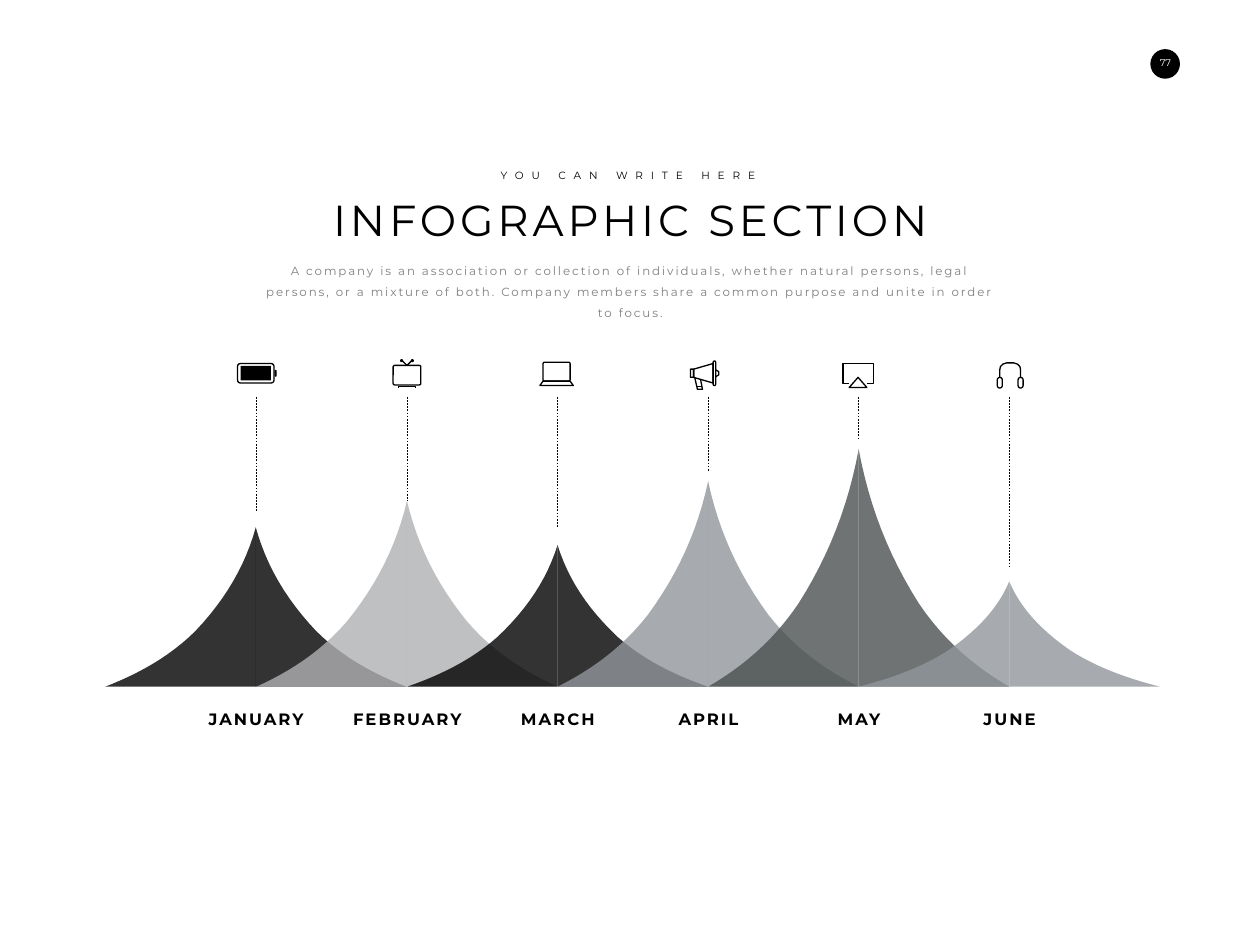
"""Build an infographic slide with six monthly peaks, icons and labels."""
from dataclasses import dataclass

from lxml import etree
from pptx import Presentation
from pptx import util as u
from pptx.dml import color as dml
from pptx.enum import dml as lines
from pptx.enum import shapes, text
from pptx.oxml import ns

EMU_PER_PX = 9144
FONT = "Montserrat"
COLOURS = {
    "black": "000000", "white": "FFFFFF", "muted": "7F7F7F",
    "silver": "B0B1B3", "steel": "91969B", "slate": "4B5050",
}
CENTRES = (406, 646, 885, 1124, 1363, 1602)
HALF_WIDTH, BASELINE = 239, 1090
LINE_TOP, LABEL_TOP, LABEL_WIDTH, LABEL_HEIGHT = 630, 1110, 239, 61
RECTANGLE = shapes.MSO_SHAPE.RECTANGLE
ROUNDED = shapes.MSO_SHAPE.ROUNDED_RECTANGLE
OVAL = shapes.MSO_SHAPE.OVAL
SLOPE = (
    ((0, 0), (0.07, 0.24), (0.2, 0.45), (0.4, 0.65)),
    ((0.4, 0.65), (0.57, 0.81), (0.78, 0.92), (1, 1)),
)
CURVE_STEPS = 12


@dataclass(frozen=True)
class Box:
    preset: shapes.MSO_SHAPE
    left: int
    top: int
    width: int
    height: int
    filled: bool = False
    rounding: float = 0.08


@dataclass(frozen=True)
class Stroke:
    points: tuple
    closed: bool = False


@dataclass(frozen=True)
class Month:
    name: str
    tip: int
    line_end: int
    colour: str
    icon: tuple


@dataclass(frozen=True)
class Caption:
    words: str
    left: int
    top: int
    width: int
    height: int
    size: float
    colour: str = "black"
    spacing: float = 0
    bold: bool = False
    wrap: bool = True
    line_spacing: float = 1
    insets: tuple = (10, 5)
    anchor: text.MSO_ANCHOR = text.MSO_ANCHOR.TOP


BATTERY = (Box(ROUNDED, 377, 577, 58, 31, rounding=0.15), Box(RECTANGLE, 382, 581, 48, 23, True),
           Box(ROUNDED, 436, 587, 3, 11, True, 0.4))
TELEVISION = (Box(ROUNDED, 624, 580, 44, 31), Box(OVAL, 635, 570, 5, 5, True),
              Box(OVAL, 652, 570, 5, 5, True), Stroke(((638, 572), (646, 580), (654, 572))),
              Stroke(((632, 616), (632, 613), (660, 613), (660, 616))))
LAPTOP = (Box(ROUNDED, 862, 575, 43, 30),
          Stroke(((862, 605), (857, 612), (910, 612), (905, 605)), True))
MEGAPHONE = (Box(ROUNDED, 1096, 586, 5, 13), Box(ROUNDED, 1132, 573, 4, 39, rounding=0.5),
             Stroke(((1101, 586), (1132, 577), (1132, 608), (1101, 599)), True),
             Stroke(((1136, 587), (1141, 590), (1141, 595), (1136, 598))),
             Stroke(((1103, 600), (1107, 618), (1115, 618), (1112, 602))),
             Stroke(((1106, 614), (1114, 614))))
SCREEN = (Stroke(((1348, 609), (1338, 609), (1338, 577), (1386, 577), (1386, 609), (1376, 609))),
          Stroke(((1348, 615), (1362, 599), (1376, 615)), True))
HEADPHONES = (Box(ROUNDED, 1583, 599, 8, 17, rounding=0.5),
              Box(ROUNDED, 1616, 599, 8, 17, rounding=0.5),
              Stroke(((1587, 599), (1587, 587), (1588, 582), (1592, 578), (1598, 576),
                      (1609, 576), (1615, 578), (1619, 582), (1620, 587), (1620, 599))))

MONTHS = (
    Month("JANUARY", 837, 811, "black", BATTERY),
    Month("FEBRUARY", 795, 795, "silver", TELEVISION),
    Month("MARCH", 865, 838, "black", LAPTOP),
    Month("APRIL", 764, 747, "steel", MEGAPHONE),
    Month("MAY", 713, 697, "slate", SCREEN),
    Month("JUNE", 923, 901, "steel", HEADPHONES),
)
CAPTIONS = (
    Caption("77", 1821, 83, 58, 34, 11, "white", wrap=False, insets=(15, 8)),
    Caption("INFOGRAPHIC SECTION", 451, 301, 1100, 93, 49.5, spacing=4.5),
    Caption("YOU CAN WRITE HERE", 740, 264, 514, 30, 12, spacing=9),
    Caption("A company is an association or collection of individuals, whether natural persons, "
            "legal persons, or a mixture of both. Company members share a common purpose and "
            "unite in order to focus.", 399, 402, 1203, 78, 13.5, "muted", 2.25, line_spacing=1.5),
)


def px(length: float) -> int:
    return round(length * EMU_PER_PX)


def rgb(name: str) -> dml.RGBColor:
    return dml.RGBColor.from_string(COLOURS[name])


def add_caption(slide, caption: Caption) -> None:
    box = slide.shapes.add_textbox(
        px(caption.left), px(caption.top), px(caption.width), px(caption.height))
    frame = box.text_frame
    frame.word_wrap = caption.wrap
    frame.vertical_anchor = caption.anchor
    frame.margin_left = frame.margin_right = px(caption.insets[0])
    frame.margin_top = frame.margin_bottom = px(caption.insets[1])
    paragraph = frame.paragraphs[0]
    paragraph.text = caption.words
    paragraph.alignment = text.PP_ALIGN.CENTER
    paragraph.line_spacing = caption.line_spacing
    font = paragraph.font
    font.name, font.size, font.bold = FONT, u.Pt(caption.size), caption.bold
    font.color.rgb = rgb(caption.colour)
    properties = paragraph._p.pPr.find(ns.qn("a:defRPr"))
    properties.set("spc", str(round(caption.spacing * 100)))


def paint(shape, filled: bool, colour: str = "black") -> None:
    shape.shadow.inherit = False
    if filled:
        shape.fill.solid()
        shape.fill.fore_color.rgb = rgb(colour)
        shape.line.fill.background()
    else:
        shape.fill.background()
        shape.line.color.rgb = rgb(colour)
        shape.line.width = u.Pt(1.5)


def add_outline(group, points: list, closed: bool):
    corners = [(px(x), px(y)) for x, y in points]
    builder = group.shapes.build_freeform(*corners[0])
    builder.add_line_segments(corners[1:], close=closed)
    return builder.convert_to_shape()


def add_icon(slide, parts: tuple) -> None:
    group = slide.shapes.add_group_shape()
    for part in parts:
        if isinstance(part, Stroke):
            paint(add_outline(group, part.points, part.closed), False)
            continue
        shape = group.shapes.add_shape(
            part.preset, px(part.left), px(part.top), px(part.width), px(part.height))
        if part.preset == ROUNDED:
            shape.adjustments[0] = part.rounding
        paint(shape, part.filled)


def slope_points() -> list:
    points = [(0, 0)]
    for curve in SLOPE:
        for step in range(1, CURVE_STEPS + 1):
            t = step / CURVE_STEPS
            weights = ((1 - t) ** 3, 3 * t * (1 - t) ** 2, 3 * t * t * (1 - t), t ** 3)
            points.append(tuple(sum(w * p[axis] for w, p in zip(weights, curve))
                                for axis in (0, 1)))
    return points


def add_peak(slide, month: Month, centre: int) -> None:
    group = slide.shapes.add_group_shape()
    height = BASELINE - month.tip
    for side in (-1, 1):
        points = [(centre + side * x * HALF_WIDTH, month.tip + y * height)
                  for x, y in slope_points()]
        half = add_outline(group, points + [(centre, BASELINE)], True)
        paint(half, True, month.colour)
        colour = half.fill._xPr.find(".//" + ns.qn("a:srgbClr"))
        etree.SubElement(colour, ns.qn("a:alpha"), val="80000")


def add_dashed_line(slide, month: Month, centre: int) -> None:
    connector = slide.shapes.add_connector(
        shapes.MSO_CONNECTOR.STRAIGHT, px(centre), px(LINE_TOP), px(centre), px(month.line_end))
    connector.line.color.rgb = rgb("black")
    connector.line.width = u.Pt(0.5)
    connector.line.dash_style = lines.MSO_LINE.DASH
    etree.SubElement(connector._element.spPr, ns.qn("a:effectLst"))


def main() -> None:
    presentation = Presentation()
    presentation.slide_width, presentation.slide_height = px(2000), px(1500)
    slide = presentation.slides.add_slide(presentation.slide_layouts[6])
    paint(slide.shapes.add_shape(OVAL, px(1826), px(78), px(47), px(47)), True)
    for caption in CAPTIONS:
        add_caption(slide, caption)
    for month, centre in zip(MONTHS, CENTRES):
        add_peak(slide, month, centre)
        add_caption(slide, Caption(
            month.name, centre - LABEL_WIDTH // 2, LABEL_TOP, LABEL_WIDTH, LABEL_HEIGHT, 18.8,
            spacing=2.25, bold=True, insets=(0, 0), anchor=text.MSO_ANCHOR.MIDDLE))
        add_icon(slide, month.icon)
        add_dashed_line(slide, month, centre)
    presentation.save("out.pptx")


if __name__ == "__main__":
    main()
